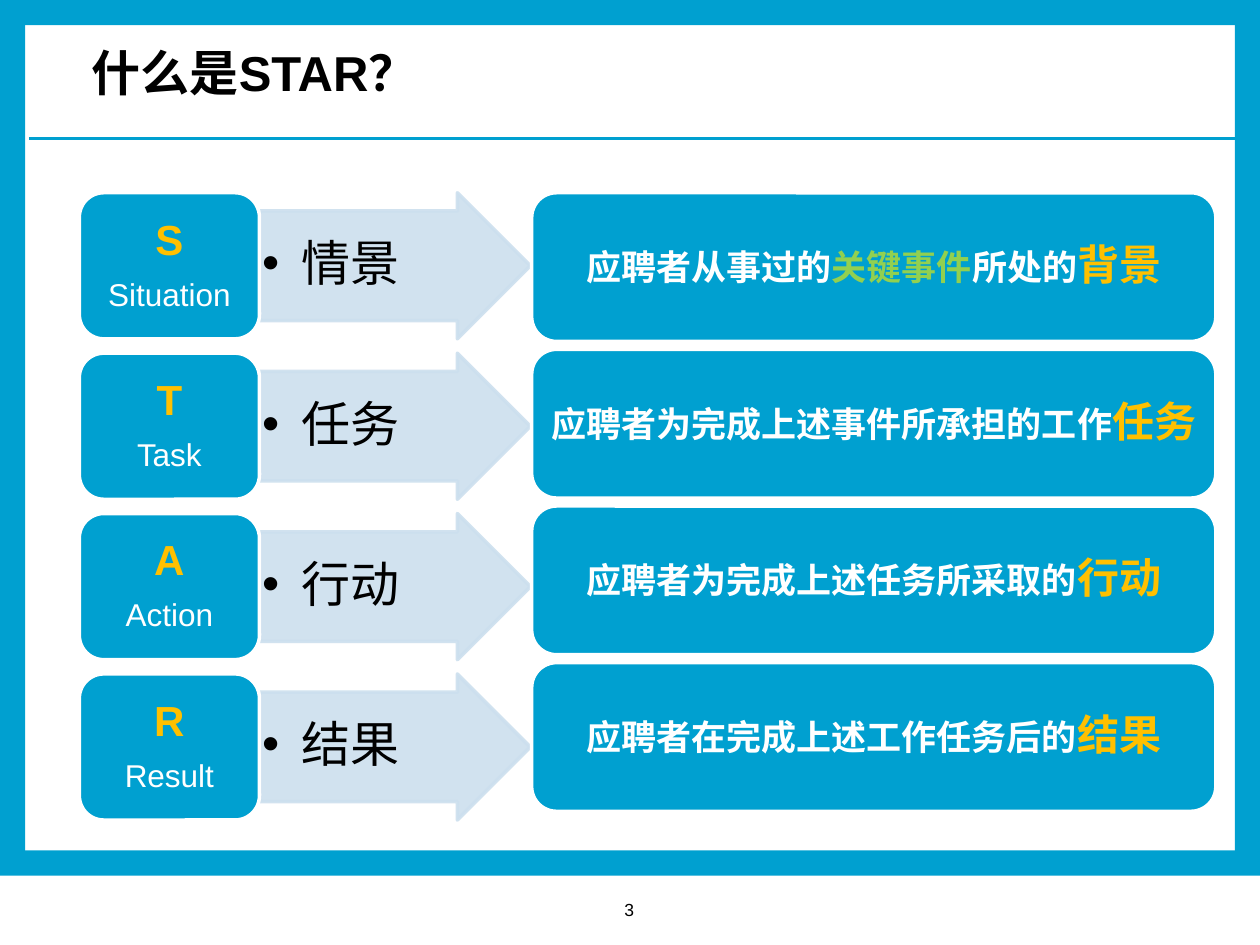
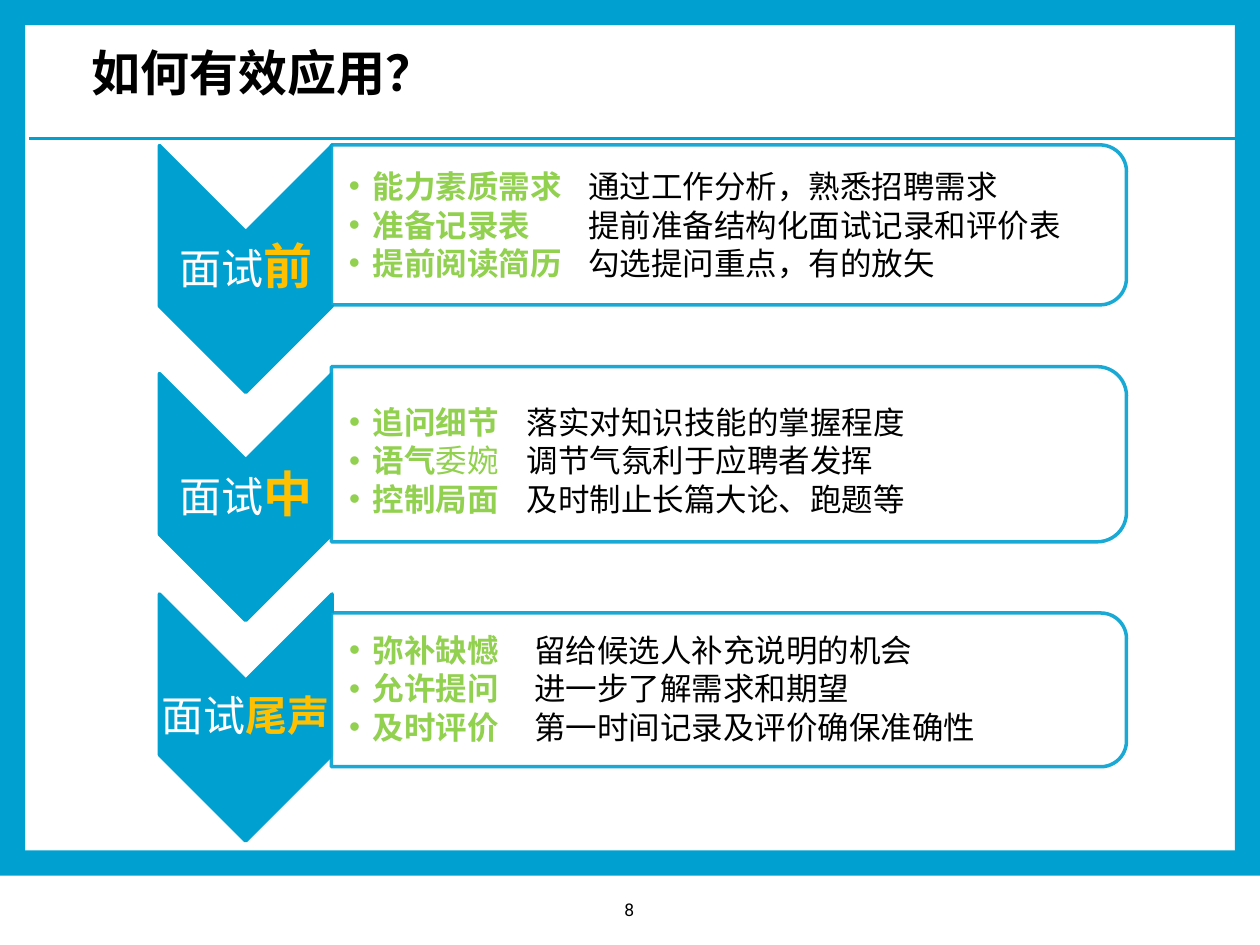
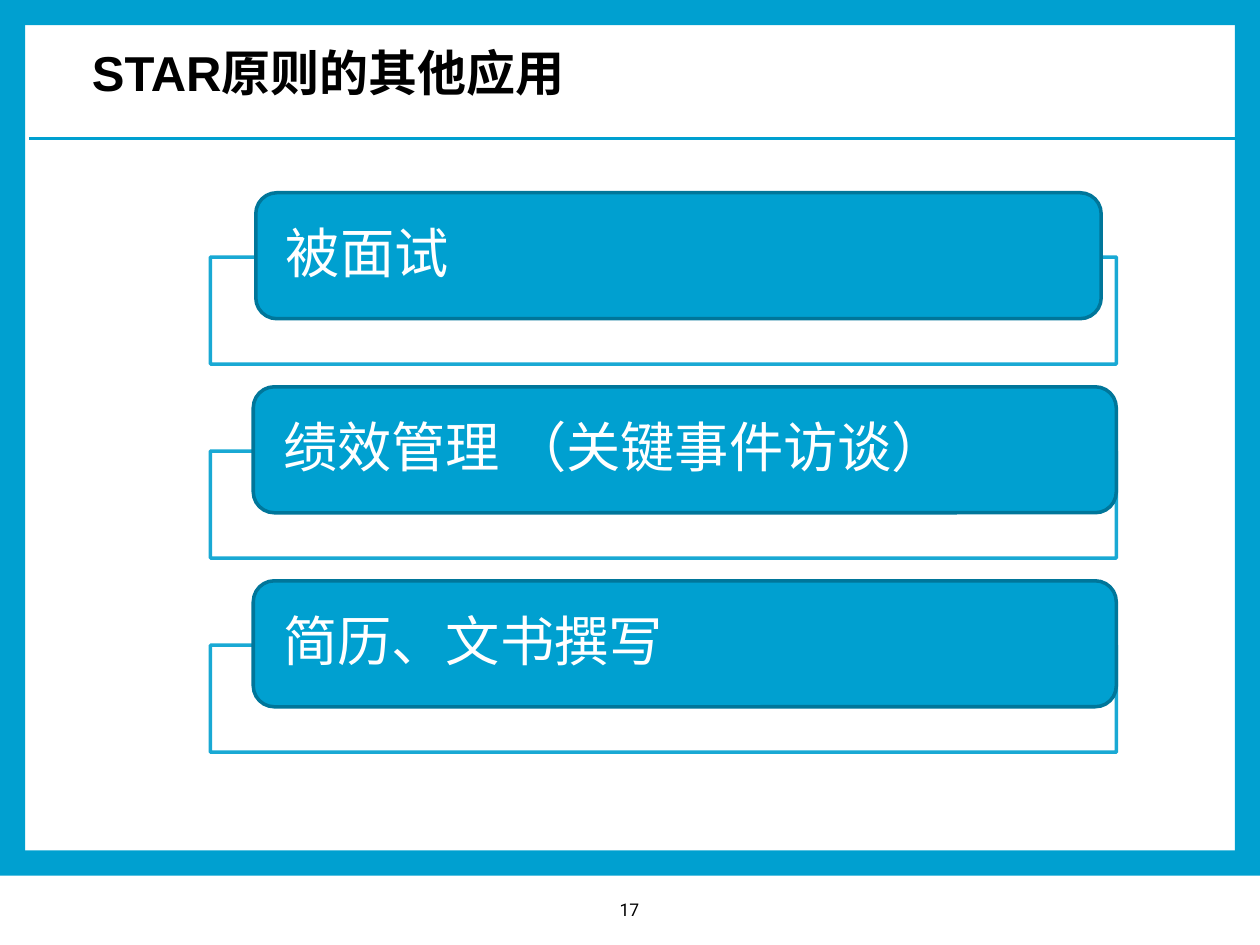
from lxml import etree
from pptx import Presentation
from pptx.dml.color import RGBColor
from pptx.enum.shapes import MSO_CONNECTOR, MSO_SHAPE
from pptx.enum.text import MSO_ANCHOR, MSO_AUTO_SIZE, PP_ALIGN
from pptx.oxml.ns import qn
from pptx.util import Inches, Pt

RECTANGLE = MSO_SHAPE.RECTANGLE
ROUNDED = MSO_SHAPE.ROUNDED_RECTANGLE
ARROW = MSO_SHAPE.RIGHT_ARROW
CHEVRON = MSO_SHAPE.CHEVRON
TAB_CARD = MSO_SHAPE.ROUND_2_SAME_RECTANGLE
STRAIGHT = MSO_CONNECTOR.STRAIGHT
TOP, MIDDLE = MSO_ANCHOR.TOP, MSO_ANCHOR.MIDDLE
LEFT, CENTER = PP_ALIGN.LEFT, PP_ALIGN.CENTER
FIXED_SIZE = MSO_AUTO_SIZE.NONE

COLORS = {
    "blue": "00A0D0",
    "dark_blue": "00769A",
    "pale_blue": "CCDFEE",
    "white": "FFFFFF",
    "black": "000000",
    "gold": "FFC000",
    "green": "92D050",
}
TITLE_ONLY = 5
COLUMNS, ROWS = 100, 75  # grid of the slide


def color(name):
    return RGBColor.from_string(COLORS[name])


def set_alpha(fill_owner, percent):
    """Make the solid colour of a fill or line partly transparent."""
    for rgb in fill_owner.iter(qn("a:srgbClr")):
        etree.SubElement(rgb, qn("a:alpha"), val=str(percent * 1000))


def add_bullet(paragraph, indent):
    properties = paragraph._p.get_or_add_pPr()
    properties.set("marL", str(Inches(indent)))
    properties.set("indent", str(-Inches(indent)))
    etree.SubElement(properties, qn("a:buFont"), typeface="Arial")
    etree.SubElement(properties, qn("a:buChar"), char="•")


def write(shape, paragraphs, margins=(0.1, 0.05), anchor=MIDDLE, align=LEFT,
          spacing=None, after=0, bullet=0, **font_format):
    """Fill a shape; a paragraph is a list of (text, font changes) runs."""
    frame = shape.text_frame
    frame.word_wrap = True
    frame.auto_size = FIXED_SIZE
    frame.vertical_anchor = anchor
    frame.margin_left = frame.margin_right = Inches(margins[0])
    frame.margin_top = frame.margin_bottom = Inches(margins[1])
    for index, runs in enumerate(paragraphs):
        paragraph = frame.add_paragraph() if index else frame.paragraphs[0]
        paragraph.alignment = align
        if spacing:
            paragraph.line_spacing = spacing
        paragraph.space_before = Pt(0)
        paragraph.space_after = Pt(after if index < len(paragraphs) - 1 else 0)
        if bullet:
            add_bullet(paragraph, bullet)
        for text, changes in runs:
            style = {"size": 18, "color": "black", "bold": False,
                     "font": "Arial", **font_format, **changes}
            run = paragraph.add_run()
            run.text = text
            run.font.name = style["font"]
            run.font.size = Pt(style["size"])
            run.font.bold = style["bold"]
            run.font.color.rgb = color(style["color"])


class Deck:
    """Holds the shared style and the current slide."""

    def __init__(self):
        self.presentation = Presentation()
        self.presentation.slide_width = Inches(10)
        self.presentation.slide_height = Inches(7.5)
        self.layout = self.presentation.slide_layouts[TITLE_ONLY]
        self.slide = None

    def place(self, left, top, width, height):
        column = self.presentation.slide_width / COLUMNS
        row = self.presentation.slide_height / ROWS
        return (round(left * column), round(top * row),
                round(width * column), round(height * row))

    def start(self, title, number, number_font="Roboto"):
        first = self.slide is None
        self.slide = self.presentation.slides.add_slide(self.layout)
        if first:
            self.frame_layout()
        heading = self.slide.shapes.title
        heading.left, heading.top, heading.width, heading.height = self.place(
            6.3, 2.9, 88.2, 5.7)
        self.paint(heading, "white", "white")
        write(heading, [[(title, {})]], anchor=TOP, size=28, bold=True)
        self.text((46.1, 70.9, 7.7, 2.6), [[(str(number), {})]],
                  align=CENTER, size=10, font=number_font)

    def frame_layout(self):
        """Draw the border and title rule, then hand them to the layout."""
        bands = [(0, 0, 100, 2), (0, 0, 2, 69), (98, 0, 2, 69), (0, 67.5, 100, 2)]
        parts = [self.shape(RECTANGLE, band, "blue") for band in bands]
        parts.append(self.rule(2.3, 98.1, 11))
        for part in parts:
            self.layout.element.cSld.spTree.append(part.element)

    def paint(self, shape, fill, line=None, alpha=None):
        shape.fill.solid()
        shape.fill.fore_color.rgb = color(fill)
        if line:
            shape.line.color.rgb = color(line)
            shape.line.width = Pt(2)
        else:
            shape.line.fill.background()
        if alpha:
            set_alpha(shape.element.spPr, alpha)

    def shape(self, kind, box, fill, line=None, alpha=None, turned=False):
        """Add a shape; a turned one shows in its box after a quarter turn."""
        if turned:
            left, top, width, height = box
            shift = (width - height) / 2
            box = (left + shift, top - shift, height, width)
        shape = self.slide.shapes.add_shape(kind, *self.place(*box))
        shape.rotation = 90 if turned else 0
        shape.shadow.inherit = False
        self.paint(shape, fill, line, alpha)
        return shape

    def rule(self, start, end, top):
        left, y, width, _ = self.place(start, top, end - start, 0)
        line = self.slide.shapes.add_connector(STRAIGHT, left, y, left + width, y)
        line.line.color.rgb = color("blue")
        line.line.width = Pt(1.5)
        etree.SubElement(line.element.spPr, qn("a:effectLst"))
        return line

    def text(self, box, paragraphs, **text_format):
        text_box = self.slide.shapes.add_textbox(*self.place(*box))
        write(text_box, paragraphs, **text_format)


def build_star(deck):
    deck.start("什么是STAR？", 3, "Arial")
    gold = {"color": "gold", "size": 24}
    letters = [
        ("S", "Situation", "情景",
         [("应聘者从事过的", {}), ("关键事件", {"color": "green"}),
          ("所处的", {}), ("背景", gold)]),
        ("T", "Task", "任务",
         [("应聘者为完成上述事件所承担的工作", {}), ("任务", gold)]),
        ("A", "Action", "行动",
         [("应聘者为完成上述任务所采取的", {}), ("行动", gold)]),
        ("R", "Result", "结果",
         [("应聘者在完成上述工作任务后的", {}), ("结果", gold)]),
    ]
    # Letter tiles with arrows
    for index, (letter, word, meaning, _) in enumerate(letters):
        top = 15.3 + index * 12.73
        arrow = deck.shape(ARROW, (20.6, top, 21.5, 11.6),
                           "pale_blue", "pale_blue", alpha=90)
        arrow.adjustments[0] = 0.75
        write(arrow, [[(meaning, {})]], margins=(0.02, 0.02), spacing=0.9,
              bullet=0.31, size=28)
        tile = deck.shape(ROUNDED, (6.3, top, 14.3, 11.6), "blue", "white")
        write(tile, [[(letter, {**gold, "bold": True})], [(word, {})]],
              align=CENTER, spacing=0.9, after=8.4, color="white")
    # Explanations
    for index, (_, _, _, explanation) in enumerate(letters):
        card = deck.shape(ROUNDED, (42.2, 15.3 + index * 12.43, 54.3, 11.8),
                          "blue", "white")
        write(card, [explanation], margins=(0.02, 0.04), align=CENTER,
              spacing=0.9, size=20, color="white", bold=True)


def build_stages(deck):
    deck.start("如何有效应用？", 8)
    # Stage, size of its word, chevron top, card top and height,
    # centre of the list, left of the details, list of (label, detail)
    stages = [
        ("前", 28, 11.55, 11.5, 12.7, 17.8, 46.7, [
            ("能力素质需求", "通过工作分析，熟悉招聘需求"),
            ("准备记录表", "提前准备结构化面试记录和评价表"),
            ("提前阅读简历", "勾选提问重点，有的放矢")]),
        ("中", 28, 29.65, 29.1, 13.9, 36.5, 41.8, [
            ("追问细节", "落实对知识技能的掌握程度"),
            ("语气委婉", "调节气氛利于应聘者发挥"),
            ("控制局面", "及时制止长篇大论、跑题等")]),
        ("尾声", 24, 47.15, 48.65, 12.2, 54.6, 42.4, [
            ("弥补缺憾", "留给候选人补充说明的机会"),
            ("允许提问", "进一步了解需求和期望"),
            ("及时评价", "第一时间记录及评价确保准确性")]),
    ]
    card_left, card_width, list_height = 26.3, 63.1, 11
    for (stage, size, chevron_top, card_top, card_height,
         list_center, detail_left, points) in stages:
        # Stage marker
        deck.shape(CHEVRON, (12.65, chevron_top, 13.7, 19.6),
                   "blue", "blue", turned=True)
        deck.text((12.6, chevron_top + 6.85, 13.8, 5.9),
                  [[("面试", {}),
                    (stage, {"size": size, "color": "gold", "bold": True})]],
                  margins=(0, 0.02), align=CENTER, spacing=0.9,
                  size=24, color="white")
        # Card with labels and details side by side
        deck.shape(TAB_CARD, (card_left, card_top, card_width, card_height),
                   "white", "blue", alpha=90, turned=True)
        labels = []
        for label, _ in points:
            if label == "语气委婉":
                labels.append([("语气", {}), ("委婉", {"bold": False})])
            else:
                labels.append([(label, {})])
        list_top = list_center - list_height / 2
        deck.text((card_left, list_top, detail_left - card_left, list_height),
                  labels, margins=(0.14, 0.01), spacing=Pt(22), bullet=0.19,
                  color="green", bold=True)
        deck.text((detail_left, list_top,
                   card_left + card_width - detail_left, list_height),
                  [[(detail, {})] for _, detail in points],
                  margins=(0, 0.01), spacing=Pt(22))


def build_other_uses(deck):
    deck.start("STAR原则的其他应用", 17)
    uses = [
        ("被面试", 20.3, 67.1),
        ("绩效管理 （关键事件访谈）", 20.1, 68.5),
        ("简历、文书撰写", 20.1, 68.5),
    ]
    for index, (use, left, width) in enumerate(uses):
        top = 15.3 + index * 15.4
        deck.shape(RECTANGLE, (16.7, top + 5.1, 71.9, 8.5),
                   "white", "blue", alpha=90)
        pill = deck.shape(ROUNDED, (left, top, width, 10), "blue", "dark_blue")
        write(pill, [[(use, {})]], margins=(0.19, 0), spacing=0.9,
              size=31, color="white")


def main():
    deck = Deck()
    build_star(deck)
    build_stages(deck)
    build_other_uses(deck)
    deck.presentation.save("out.pptx")


if __name__ == "__main__":
    main()
